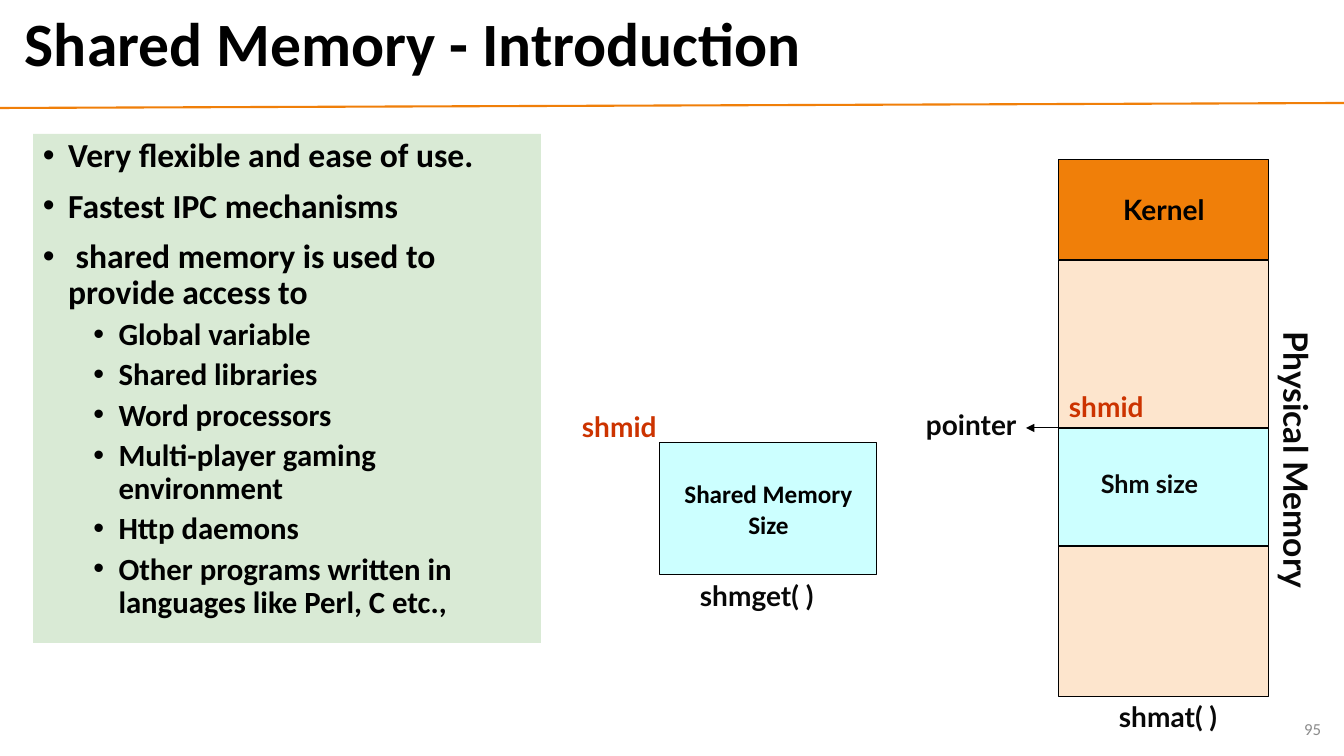
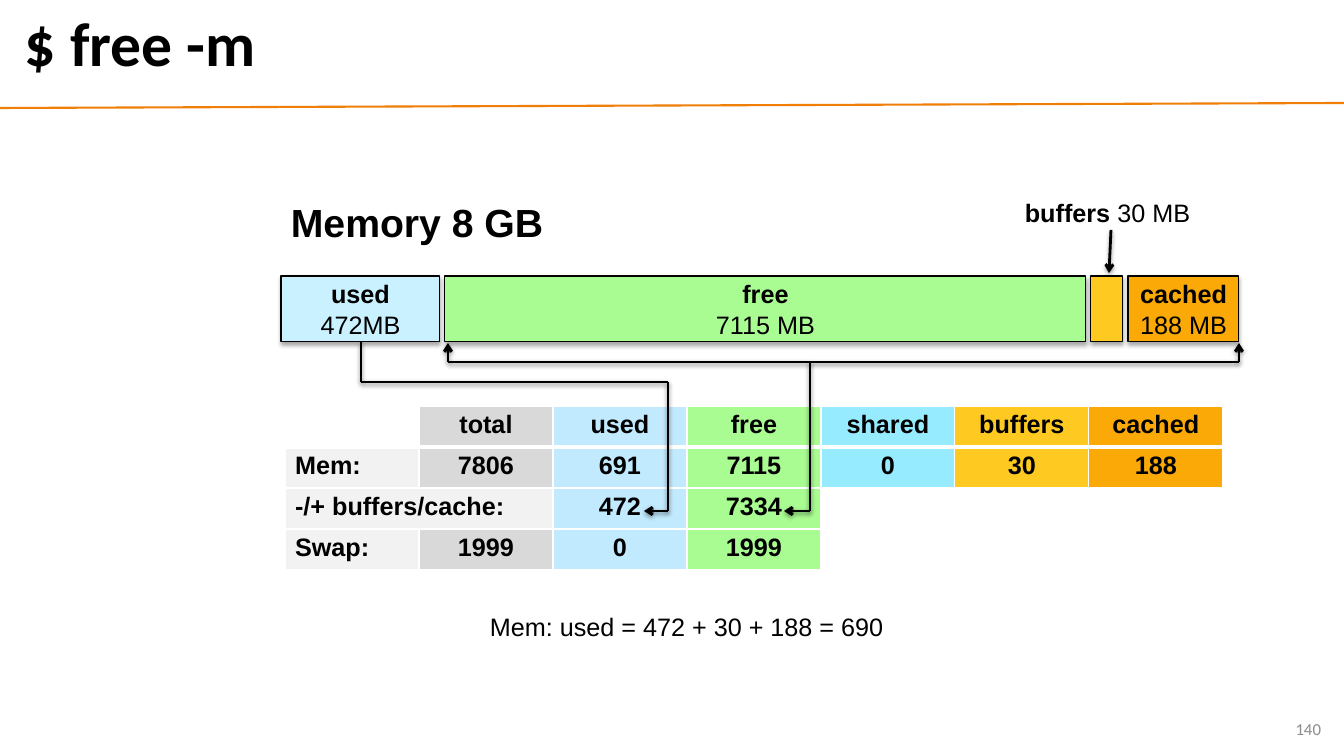
from itertools import pairwise

from lxml.etree import SubElement
from pptx import Presentation
from pptx.dml.color import RGBColor
from pptx.enum.shapes import MSO_CONNECTOR, MSO_SHAPE
from pptx.enum.text import MSO_ANCHOR, PP_ALIGN
from pptx.oxml.ns import qn
from pptx.util import Emu, Pt

SCALE = 914400 / 100.8
PAGE_WIDTH, PAGE_HEIGHT = 1344, 756
COLORS = {
    "ink": "000000", "soft_ink": "080808", "white": "FFFFFF", "number": "8C8C8C",
    "orange": "F07F09", "peach": "FDE5CD", "mint": "D9EAD5", "aqua": "CCFFFF",
    "red": "CC3300", "row_head": "F2F2F2", "total": "D9D9D9", "used_bar": "C9F1FF",
    "used": "C2EAFE", "free": "A9FC92", "shared": "97EBFF", "buffers": "FECA22",
    "cached": "FAA906",
}


def px(length):
    return Emu(round(length * SCALE))


def color(name):
    return RGBColor.from_string(COLORS[name])


def write(holder, text, size, font="Calibri", ink="ink", bold=True,
          align=PP_ALIGN.LEFT, anchor=MSO_ANCHOR.TOP):
    frame = holder.text_frame
    frame.text = text
    frame.word_wrap = True
    frame.vertical_anchor = anchor
    for para in frame.paragraphs:
        para.alignment = align
        for span in para.runs:
            style(span, size, font, ink, bold)
    return frame


def style(span, size, font, ink, bold):
    span.font.size = Pt(size)
    span.font.name = font
    span.font.bold = bold
    span.font.color.rgb = color(ink)


def add_label(page, box, text, size, font="Lato", **options):
    label = page.shapes.add_textbox(*map(px, box))
    write(label, text, size, font, **options)
    return label


def add_rect(page, box, fill, line="ink"):
    rect = page.shapes.add_shape(MSO_SHAPE.RECTANGLE, *map(px, box))
    rect.shadow.inherit = False
    rect.fill.solid()
    rect.fill.fore_color.rgb = color(fill)
    if line:
        rect.line.color.rgb = color(line)
        rect.line.width = Pt(0.75)
    else:
        rect.line.fill.background()
    return rect


def add_shadow(effects, distance, alpha):
    shadow = SubElement(effects, qn("a:outerShdw"), blurRad="40000", dist=str(distance),
                        dir="5400000", rotWithShape="0")
    tint = SubElement(shadow, qn("a:srgbClr"), val=COLORS["ink"])
    SubElement(tint, qn("a:alpha"), val=str(alpha * 1000))


def add_line(page, start, end, width, ink="ink", head=None, shadow=False):
    line = page.shapes.add_connector(MSO_CONNECTOR.STRAIGHT, *map(px, start + end))
    line.line.color.rgb = color(ink)
    line.line.width = Pt(width)
    if head:
        SubElement(line.line._get_or_add_ln(), qn("a:tailEnd"), type=head)
    effects = SubElement(line._element.spPr, qn("a:effectLst"))
    if shadow:
        add_shadow(effects, 20000, 38)


def add_route(page, *points):
    legs = list(pairwise(points))
    for leg in legs:
        head = "arrow" if leg is legs[-1] else None
        add_line(page, *leg, 2, head=head, shadow=True)


def add_page(deck, title, number):
    page = deck.slides.add_slide(deck.slide_layouts[6])
    add_line(page, (0, 108), (PAGE_WIDTH, 103), 1.5, "orange")
    heading = add_label(page, (15, 5, 1299, 84), title, 44, "Calibri",
                        anchor=MSO_ANCHOR.MIDDLE)
    heading.text_frame.paragraphs[0].line_spacing = 0.9
    add_label(page, (1029, 709, 302, 40), number, 12, "Calibri", ink="number",
              bold=False, align=PP_ALIGN.RIGHT, anchor=MSO_ANCHOR.MIDDLE)
    return page


def add_bullets(page, box, items):
    panel = add_rect(page, box, "mint", None)
    frame = write(panel, "\n".join(text for _, text in items), 24)
    for index, (para, (level, _)) in enumerate(zip(frame.paragraphs, items)):
        para.level = level
        properties = para._p.get_or_add_pPr()
        properties.set("marL", str(228600 + 457200 * level))
        properties.set("indent", "-228600")
        SubElement(properties, qn("a:buFont"), typeface="Arial")
        SubElement(properties, qn("a:buChar"), char="•")
        para.line_spacing = 0.9
        para.space_before = Pt(0 if index == 0 else 5 if level else 10)
        for span in para.runs:
            span.font.size = Pt(22 if level else 24)


def add_shared_segment(page, left, top, width, height):
    segment = add_rect(page, (left, top, width, height), "aqua")
    write(segment, "Shared Memory Size", 18, align=PP_ALIGN.CENTER,
          anchor=MSO_ANCHOR.MIDDLE)
    add_label(page, (left - 88, top - 38, 134, 43), "shmid", 20, ink="red")
    add_label(page, (left + 30, top + height - 1, 198, 44), "shmget( )", 20,
              ink="soft_ink")


def add_physical_memory(page, left, top, width):
    bands = [("orange", 101), ("peach", 168), ("aqua", 118), ("peach", 151)]
    rects, edges = [], [top]
    for fill, height in bands:
        rects.append(add_rect(page, (left, edges[-1], width, height), fill))
        edges.append(edges[-1] + height)
    write(rects[0], "Kernel", 20, "Lato", align=PP_ALIGN.CENTER,
          anchor=MSO_ANCHOR.MIDDLE)
    segment, bottom = edges[2], edges[-1]
    add_label(page, (left + 32, segment + 35, 139, 40), "Shm size", 18, ink="soft_ink")
    add_label(page, (left, segment - 43, 134, 43), "shmid", 20, ink="red")
    add_label(page, (left - 143, segment - 25, 126, 43), "pointer", 20, ink="soft_ink")
    add_line(page, (left, segment), (left - 33, segment), 0.75, head="triangle")
    side = add_label(page, (left + 52, top + 324, 372, 50), "Physical Memory", 24,
                     ink="soft_ink")
    side.rotation = 90
    add_label(page, (left + 50, bottom - 2, 149, 44), "shmat( )", 20, ink="soft_ink")


def add_memory_bar(page, left, top, height):
    gap = 5
    parts = [("used\n472MB", "used_bar", 159), ("free\n7115 MB", "free", 641),
             ("", "buffers", 32), ("cached\n188 MB", "cached", 111)]
    add_label(page, (left, top - 83, 280, 57), "Memory 8 GB", 28, "Arial")
    for text, fill, width in parts:
        part = add_rect(page, (left, top, width, height), fill)
        add_shadow(part._element.spPr.find(qn("a:effectLst")), 23000, 35)
        if text:
            frame = write(part, text, 18, "Arial", align=PP_ALIGN.CENTER,
                          anchor=MSO_ANCHOR.MIDDLE)
            frame.paragraphs[1].runs[0].font.bold = False
        left += width + gap


def add_buffers_callout(page, left, top):
    label = add_label(page, (left, top, 198, 40), "buffers", 18, "Arial")
    size = label.text_frame.paragraphs[0].add_run()
    size.text = " 30 MB"
    style(size, 18, "Arial", "ink", False)
    add_route(page, (left + 96, top + 38), (left + 94, top + 81))


def set_borders(cell, widths):
    properties = cell._tc.get_or_add_tcPr()
    for index, (side, width) in enumerate(zip("LRTB", widths)):
        border = SubElement(properties, qn(f"a:ln{side}"), w=str(Pt(width)))
        fill = SubElement(border, qn("a:solidFill"))
        SubElement(fill, qn("a:srgbClr"), val=COLORS["white"])
        properties.insert(index, border)


def add_free_table(page, left, top, column_width, row_height):
    rows = [
        ["", "total", "used", "free", "shared", "buffers", "cached"],
        ["Mem:", "7806", "691", "7115", "0", "30", "188"],
        ["-/+ buffers/cache:", "", "472", "7334", "", "", ""],
        ["Swap:", "1999", "0", "1999", "", "", ""],
    ]
    fills = ["row_head"] + rows[0][1:]
    box = (left, top, column_width * len(fills), row_height * len(rows))
    table = page.shapes.add_table(len(rows), len(fills), *map(px, box)).table
    table.horz_banding = False
    for column in table.columns:
        column.width = px(column_width)
    for y, values in enumerate(rows):
        table.rows[y].height = px(row_height)
        for x, value in enumerate(values):
            cell = table.cell(y, x)
            cell.fill.solid()
            cell.fill.fore_color.rgb = color(fills[x] if value else "white")
            set_borders(cell, (1, 1, 3 if y == 1 else 1, 3 if y == 0 else 1))
            if value:
                write(cell, value, 18, "Arial",
                      align=PP_ALIGN.CENTER if x else PP_ALIGN.LEFT)
    table.cell(2, 0).merge(table.cell(2, 1))


def add_routes(page, bar_bottom, result_row):
    add_route(page, (361, bar_bottom), (361, bar_bottom + 40), (668, bar_bottom + 40),
              (668, result_row), (644, result_row))
    joint = (810, bar_bottom + 20)
    for end in (448, 1239):
        add_route(page, joint, (end, joint[1]), (end, bar_bottom + 1))
    add_route(page, joint, (joint[0], result_row), (784, result_row))


def build_shared_memory(deck):
    page = add_page(deck, "Shared Memory - Introduction", "95")
    add_bullets(page, (33, 134, 508, 509), [
        (0, "Very flexible and ease of use."),
        (0, "Fastest IPC mechanisms"),
        (0, " shared memory is used to provide access to"),
        (1, "Global variable"),
        (1, "Shared libraries"),
        (1, "Word processors"),
        (1, "Multi-player gaming environment"),
        (1, "Http daemons"),
        (1, "Other programs written in languages like Perl, C etc.,"),
    ])
    add_shared_segment(page, 660, 443, 217, 132)
    add_physical_memory(page, 1059, 159, 210)


def build_free_memory(deck):
    page = add_page(deck, "$ free -m", "140")
    add_free_table(page, 285, 406, 134, 41)
    add_memory_bar(page, 281, 276, 66)
    add_buffers_callout(page, 1015, 192)
    add_routes(page, 342, 511)
    add_label(page, (480, 606, 490, 40), "Mem: used = 472 + 30 + 188 = 690", 18,
              "Arial", bold=False)


def main():
    deck = Presentation()
    deck.slide_width, deck.slide_height = px(PAGE_WIDTH), px(PAGE_HEIGHT)
    build_shared_memory(deck)
    build_free_memory(deck)
    deck.save("out.pptx")


if __name__ == "__main__":
    main()
